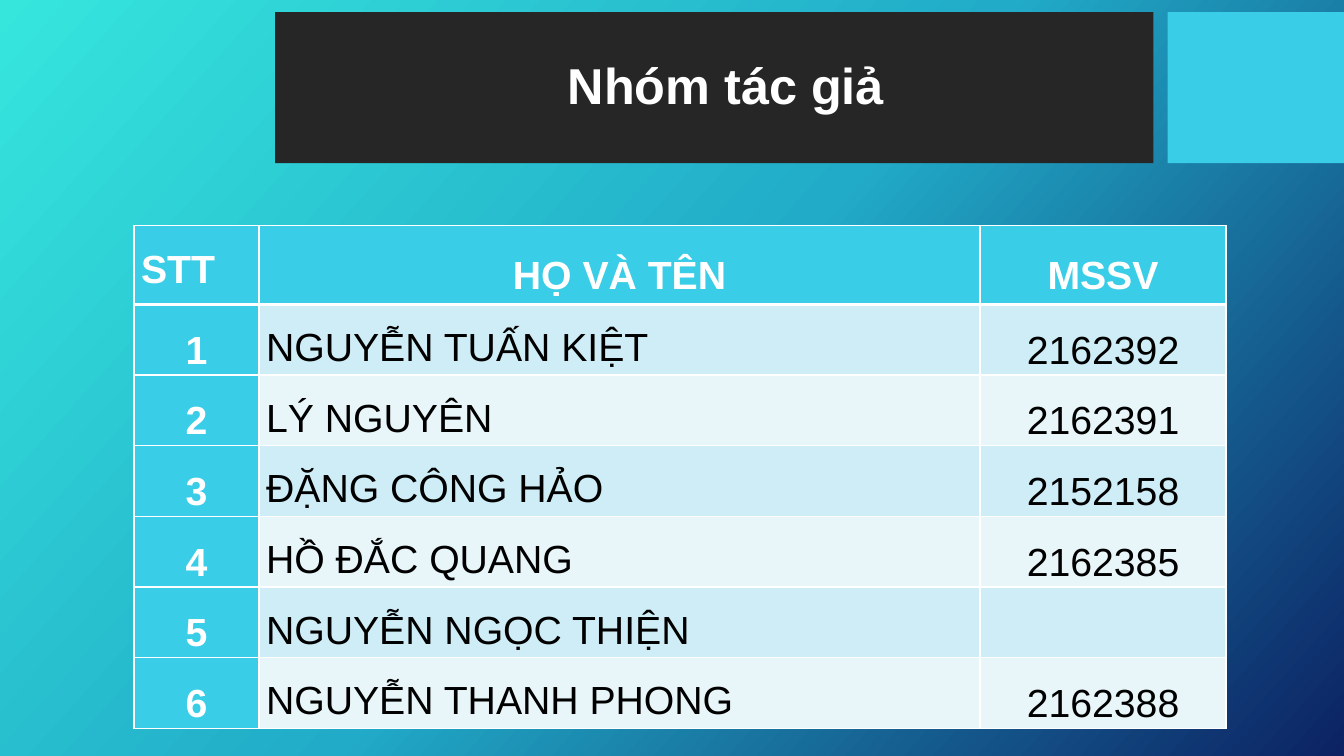
from copy import deepcopy

from lxml import etree
from pptx import Presentation
from pptx.dml.color import RGBColor
from pptx.enum import shapes, text
from pptx.oxml import ns
from pptx.util import Inches, Pt

WHITE = RGBColor(0xFF, 0xFF, 0xFF)
BLACK = RGBColor(0x00, 0x00, 0x00)
CHARCOAL = RGBColor(0x26, 0x26, 0x26)
CYAN = RGBColor(0x39, 0xCD, 0xE7)
BANDS = [RGBColor(0xCE, 0xED, 0xF6), RGBColor(0xE8, 0xF6, 0xFA)]
GRADIENT = [
    (0, RGBColor(0x36, 0xE6, 0xDD)),
    (50, RGBColor(0x21, 0xAB, 0xC8)),
    (100, RGBColor(0x0C, 0x22, 0x63)),
]

FONT = "Arial"
HEADERS = ["STT", "HỌ VÀ TÊN", "MSSV"]
AUTHORS = [
    ("NGUYỄN TUẤN KIỆT", "2162392"),
    ("LÝ NGUYÊN", "2162391"),
    ("ĐẶNG CÔNG HẢO", "2152158"),
    ("HỒ ĐẮC QUANG", "2162385"),
    ("NGUYỄN NGỌC THIỆN", ""),
    ("NGUYỄN THANH PHONG", "2162388"),
]
COLUMN_WIDTHS = [1.24, 7.15, 2.44]
HEADER_HEIGHT, ROW_HEIGHT = 0.78, 0.62


def paint_background(page):
    fill = page.background.fill
    fill.gradient()
    fill.gradient_angle = 360 - 42
    stop_list = page.element.find(".//" + ns.qn("a:gsLst"))
    stop_list.append(deepcopy(stop_list[-1]))
    for stop, (position, color) in zip(fill.gradient_stops, GRADIENT):
        stop.position = position / 100
        stop.color.rgb = color


def add_block(page, left, width, color):
    block = page.shapes.add_shape(
        shapes.MSO_SHAPE.RECTANGLE, Inches(left), Inches(0.12), Inches(width), Inches(1.5)
    )
    block.shadow.inherit = False
    block.fill.solid()
    block.fill.fore_color.rgb = color
    block.line.fill.background()


def write_text(frame, words, size, color, bold, centered, spacing):
    para = frame.paragraphs[0]
    para.alignment = text.PP_ALIGN.CENTER if centered else text.PP_ALIGN.LEFT
    para.line_spacing = spacing
    span = para.add_run()
    span.text = words
    span.font.name = FONT
    span.font.size = Pt(size)
    span.font.bold = bold
    span.font.color.rgb = color


def add_title(page, words):
    box = page.shapes.add_textbox(Inches(2.96), Inches(0.28), Inches(8.48), Inches(1.18))
    frame = box.text_frame
    frame.word_wrap = True
    frame.vertical_anchor = text.MSO_ANCHOR.MIDDLE
    write_text(frame, words, 36, WHITE, True, True, 0.9)


def add_borders(cell, bottom_width):
    properties = cell._tc.get_or_add_tcPr()
    widths = {"lnL": 1, "lnR": 1, "lnT": 1, "lnB": bottom_width}
    for index, (side, width) in enumerate(widths.items()):
        line = etree.Element(ns.qn("a:" + side), w=str(Pt(width)))
        solid = etree.SubElement(line, ns.qn("a:solidFill"))
        etree.SubElement(solid, ns.qn("a:srgbClr"), val=str(WHITE))
        properties.insert(index, line)


def fill_cell(cell, words, row, column):
    is_header = row == 0
    accented = is_header or column == 0
    centered = column != 1 if not is_header else column != 0
    cell.fill.solid()
    cell.fill.fore_color.rgb = CYAN if accented else BANDS[(row - 1) % 2]
    cell.margin_left = cell.margin_right = Inches(0.07)
    cell.margin_top = cell.margin_bottom = 0
    cell.vertical_anchor = text.MSO_ANCHOR.MIDDLE if centered else text.MSO_ANCHOR.TOP
    add_borders(cell, 3 if is_header else 1)
    if words:
        color = WHITE if accented else BLACK
        write_text(cell.text_frame, words, 28, color, accented, centered, 1.5)


def add_author_table(page):
    rows = [HEADERS]
    rows += [(str(number), *author) for number, author in enumerate(AUTHORS, 1)]
    holder = page.shapes.add_table(
        len(rows), len(HEADERS), Inches(1.33), Inches(2.24), Inches(10.83), Inches(4.98)
    )
    table = holder.table
    table.first_row = table.horz_banding = False
    for column, width in zip(table.columns, COLUMN_WIDTHS):
        column.width = Inches(width)
    for row, values in enumerate(rows):
        table.rows[row].height = Inches(ROW_HEIGHT if row else HEADER_HEIGHT)
        for column, words in enumerate(values):
            fill_cell(table.cell(row, column), words, row, column)
    holder.height = Inches(4.98)


def main():
    deck = Presentation()
    deck.slide_width, deck.slide_height = Inches(13.33), Inches(7.5)
    page = deck.slides.add_slide(deck.slide_layouts[6])

    # Background and header band
    paint_background(page)
    add_block(page, 2.73, 8.71, CHARCOAL)
    add_block(page, 11.58, 1.75, CYAN)
    add_title(page, "Nhóm tác giả")

    # List of authors
    add_author_table(page)
    deck.save("out.pptx")


if __name__ == "__main__":
    main()
